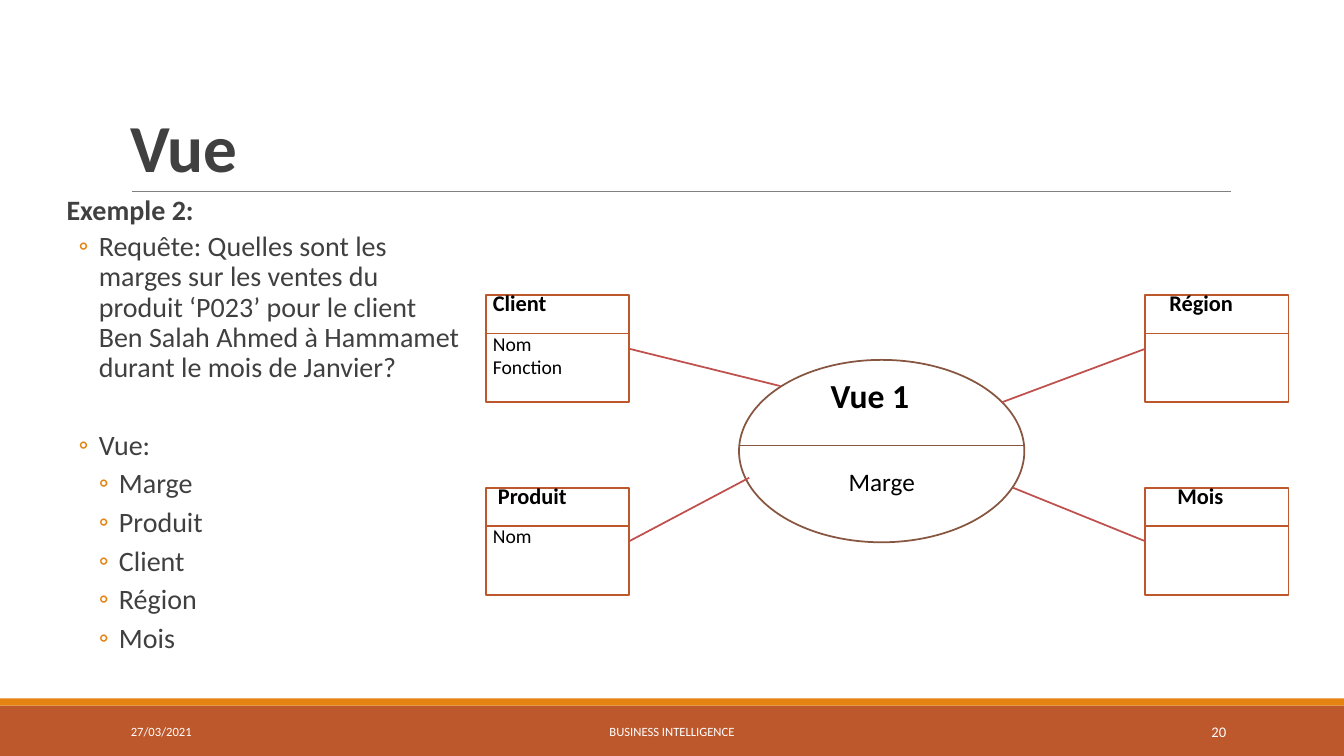
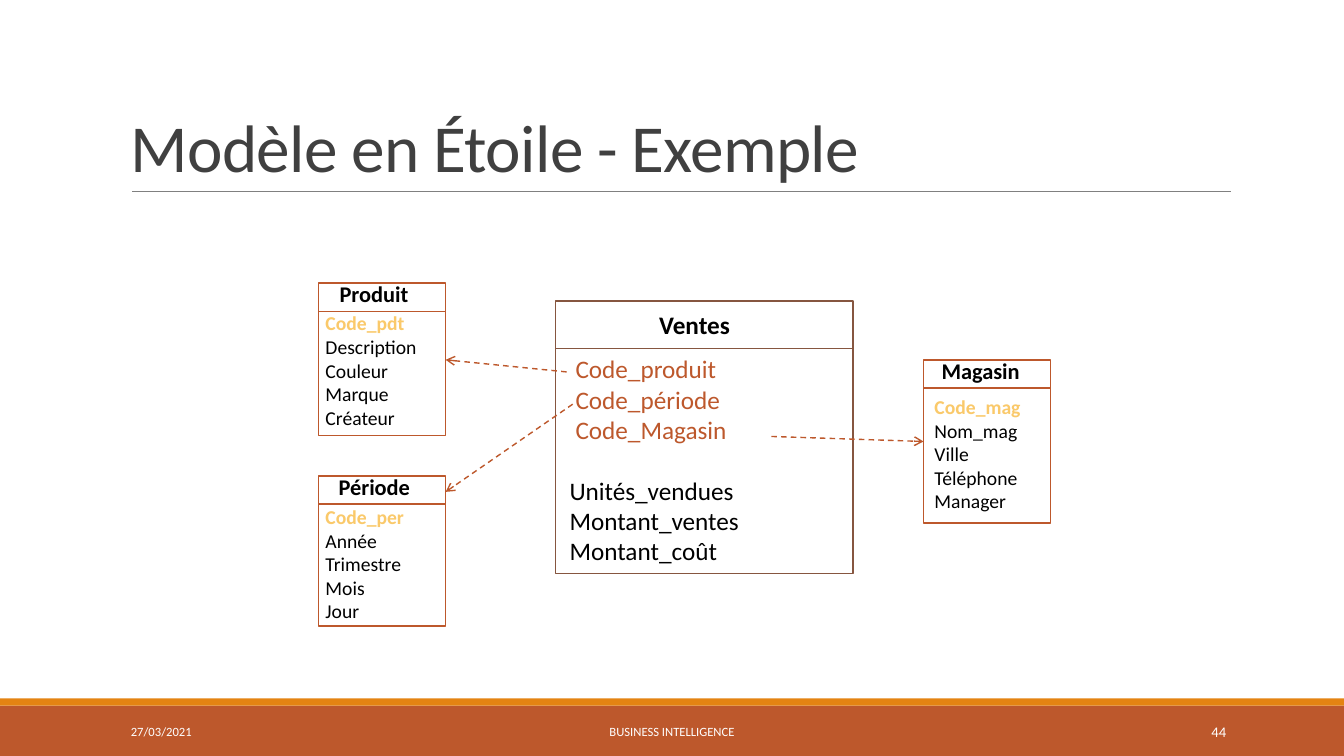
"""Build two slides on data views and the star model."""
from lxml.etree import SubElement as Sub
from pptx import Presentation
from pptx.dml.color import RGBColor as Rgb
from pptx.enum.dml import MSO_LINE as Dash
from pptx.enum.shapes import MSO_CONNECTOR as Link, MSO_SHAPE as Form
from pptx.enum.text import MSO_ANCHOR as Anchor, PP_ALIGN as Align
from pptx.oxml.ns import qn
from pptx.util import Inches, Pt

FONT = "Calibri"
RUST = Rgb(0xBD, 0x58, 0x2C)
AMBER = Rgb(0xE4, 0x83, 0x12)
BROWN = Rgb(0x86, 0x56, 0x40)
BRICK = Rgb(0xC0, 0x50, 0x4D)
GOLD = Rgb(0xFA, 0xC9, 0x6A)
GRAY = Rgb(0x80, 0x80, 0x80)
DARK = Rgb(0x40, 0x40, 0x40)
BLACK = Rgb(0, 0, 0)
WHITE = Rgb(0xFF, 0xFF, 0xFF)
WIDE, HIGH = 13.33, 7.5


def style(para, text, size=18, color=BLACK, bold=False, align=Align.LEFT, left=0,
          hang=0, bullet=None, lead=None, before=0, after=0, track=0):
    """Fill one paragraph and set its format."""
    props = para._p.get_or_add_pPr()
    props.set("marL", str(Inches(left)))
    props.set("indent", str(Inches(-hang)))
    if bullet:
        tint = Sub(Sub(props, qn("a:buClr")), qn("a:srgbClr"))
        tint.set("val", str(AMBER))
        Sub(props, qn("a:buFont")).set("typeface", FONT)
        Sub(props, qn("a:buChar")).set("char", bullet)
    para.alignment = align
    para.space_before, para.space_after = Pt(before), Pt(after)
    if lead:
        para.line_spacing = lead
    run = para.add_run()
    run.text = text
    font = run.font
    font.name, font.size, font.bold = FONT, Pt(size), bold
    font.color.rgb = color
    if track:
        run._r.get_or_add_rPr().set("spc", str(int(track * 100)))


def write(slide, box, *rows, anchor=Anchor.TOP, inset=0.1, **look):
    """Place a text box; a row is a string or a string with its own format."""
    frame = slide.shapes.add_textbox(*map(Inches, box)).text_frame
    frame.word_wrap = True
    frame.vertical_anchor = anchor
    frame.margin_left = frame.margin_right = Inches(inset)
    for index, row in enumerate(rows):
        text, own = (row, {}) if isinstance(row, str) else row
        para = frame.add_paragraph() if index else frame.paragraphs[0]
        style(para, text, **{**look, **own})


def shape(slide, form, box, fill=WHITE, edge=None):
    """Place a filled shape with an optional edge."""
    item = slide.shapes.add_shape(form, *map(Inches, box))
    item.shadow.inherit = False
    item.fill.solid()
    item.fill.fore_color.rgb = fill
    if edge is None:
        item.line.fill.background()
    else:
        item.line.color.rgb = edge
        item.line.width = Pt(1.25)


def line(slide, start, end, color=RUST, width=1, arrow=False):
    """Join two points, with a dashed arrow on request."""
    item = slide.shapes.add_connector(Link.STRAIGHT, *map(Inches, (*start, *end)))
    item.line.color.rgb = color
    item.line.width = Pt(width)
    if arrow:
        item.line.dash_style = Dash.DASH
        Sub(item.line._get_or_add_ln(), qn("a:tailEnd")).set("type", "arrow")
    Sub(item._element.spPr, qn("a:effectLst"))


def panel(slide, form, box, split, color):
    """Place a shape cut by a level rule."""
    x, y, w, _ = box
    shape(slide, form, box, edge=color)
    line(slide, (x, y + split), (x + w, y + split), color)


def card(slide, box, split, head, shift, rise, rows=(), nudge=(0, 0)):
    """Place an entity card with a heading and its fields."""
    x, y, w, _ = box
    panel(slide, Form.RECTANGLE, box, split, RUST)
    write(slide, (x + shift, y - rise, 1.14, 0.37), head, size=16, bold=True)
    if rows:
        place = (x + nudge[0], y + split + nudge[1], w, 0.1 + 0.24 * len(rows))
        write(slide, place, *rows, size=14)


def base(deck, title, number, bold=False):
    """Add a blank slide with the title, rule, bands and footer."""
    slide = deck.slides.add_slide(deck.slide_layouts[6])
    shape(slide, Form.RECTANGLE, (0, 7, WIDE, 0.5), RUST)
    shape(slide, Form.RECTANGLE, (0, 6.93, WIDE, 0.07), AMBER)
    line(slide, (1.31, 1.9), (12.21, 1.9), GRAY, 0.5)
    write(slide, (1.2, 0.31, 11, 1.59), title, anchor=Anchor.BOTTOM,
          size=48, color=DARK, bold=bold, lead=0.85, track=-0.5)
    for x, w, text, size, align in (
            (1.2, 2.7, "27/03/2021", 9, Align.LEFT),
            (4.03, 5.27, "BUSINESS INTELLIGENCE", 9, Align.CENTER),
            (10.83, 1.43, number, 10.5, Align.RIGHT)):
        write(slide, (x, 7.06, w, 0.4), text, anchor=Anchor.MIDDLE,
              size=size, color=WHITE, align=align)
    return slide


def query(slide, box):
    """Place the example query and the parts of its view."""
    item = dict(left=0.42, hang=0.2, bullet="◦", before=2, after=4)
    ask = ("Requête: Quelles sont les marges sur les ventes du produit ‘P023’ "
           "pour le client Ben Salah Ahmed à Hammamet durant le mois de Janvier?")
    parts = ("Marge", "Produit", "Client", "Région", "Mois")
    write(slide, box,
          ("Exemple 2:", dict(left=0.1, bold=True, after=2)),
          (ask, item),
          ("Vue:", {**item, "before": 30}),
          *((part, {**item, "left": 0.62}) for part in parts),
          inset=0, size=20, color=DARK, lead=0.9)


def oval(slide, box):
    """Place the view with its name and measure."""
    x, y, w, _ = box
    panel(slide, Form.OVAL, box, 0.85, BROWN)
    write(slide, (x + 0.81, y + 0.1, 1.28, 0.68), "Vue 1", size=24, bold=True)
    write(slide, (x, y + 1.01, w, 0.4), "Marge", anchor=Anchor.MIDDLE,
          align=Align.CENTER)


def view(deck):
    """Build the slide of the view."""
    slide = base(deck, "Vue", "20", bold=True)
    query(slide, (0.56, 1.9, 4.05, 4.95))
    west, east, top, low, wide, high = 4.82, 11.36, 2.93, 4.84, 1.42, 1.06
    for x, y, head, shift, rows in (
            (east, top, "Région", 0.14, ()),
            (east, low, "Mois", 0.22, ()),
            (west, top, "Client", -0.03, ("Nom", "Fonction")),
            (west, low, "Produit", 0.02, ("Nom",))):
        card(slide, (x, y, wide, high), 0.38, head, shift, 0.11, rows, (-0.03, -0.07))
    oval(slide, (7.33, 3.57, 2.83, 1.81))
    for x, y, end in (
            (west + wide, top, (7.74, 3.83)),
            (west + wide, low, (7.43, 4.74)),
            (east, top, (9.94, 3.99)),
            (east, low, (10.05, 4.84))):
        line(slide, (x, y + high / 2), end, BRICK, 1.25)


def sales(slide, box):
    """Place the fact table with its keys and measures."""
    x, y, w, _ = box
    panel(slide, Form.RECTANGLE, box, 0.47, BROWN)
    write(slide, (x + 0.93, y + 0.03, 1.04, 0.4), "Ventes", bold=True)
    keys = ("Code_produit", "Code_période", "Code_Magasin")
    write(slide, (x + 0.04, y + 0.47, w, 2.22),
          *((key, dict(color=RUST, left=0.06)) for key in keys),
          ("Unités_vendues", dict(before=22)),
          "Montant_ventes", "Montant_coût")


def star(deck):
    """Build the slide of the star model."""
    slide = base(deck, "Modèle en Étoile - Exemple", "44")
    sales(slide, (5.51, 2.99, 2.95, 2.7))
    for start, end in (
            ((5.62, 3.69), (4.42, 3.57)),
            ((5.68, 4.01), (4.42, 4.88)),
            ((7.65, 4.33), (9.16, 4.38))):
        line(slide, start, end, arrow=True)
    for x, y, h, head, shift, nudge, key, rows in (
            (3.16, 2.81, 1.51, "Produit", 0.11, (-0.03, -0.05), "Code_pdt",
             ("Description", "Couleur", "Marque", "Créateur")),
            (3.16, 4.72, 1.49, "Période", 0.1, (-0.03, -0.04), "Code_per",
             ("Année", "Trimestre", "Mois", "Jour")),
            (9.16, 3.57, 1.62, "Magasin", 0.08, (0.01, 0.02), "Code_mag",
             ("Nom_mag", "Ville", "Téléphone", "Manager"))):
        first = (key, dict(color=GOLD, bold=True))
        card(slide, (x, y, 1.26, h), 0.28, head, shift, 0.08, (first, *rows), nudge)


def main():
    """Build and save the deck."""
    deck = Presentation()
    deck.slide_width, deck.slide_height = Inches(WIDE), Inches(HIGH)
    view(deck)
    star(deck)
    deck.save("out.pptx")


if __name__ == "__main__":
    main()
